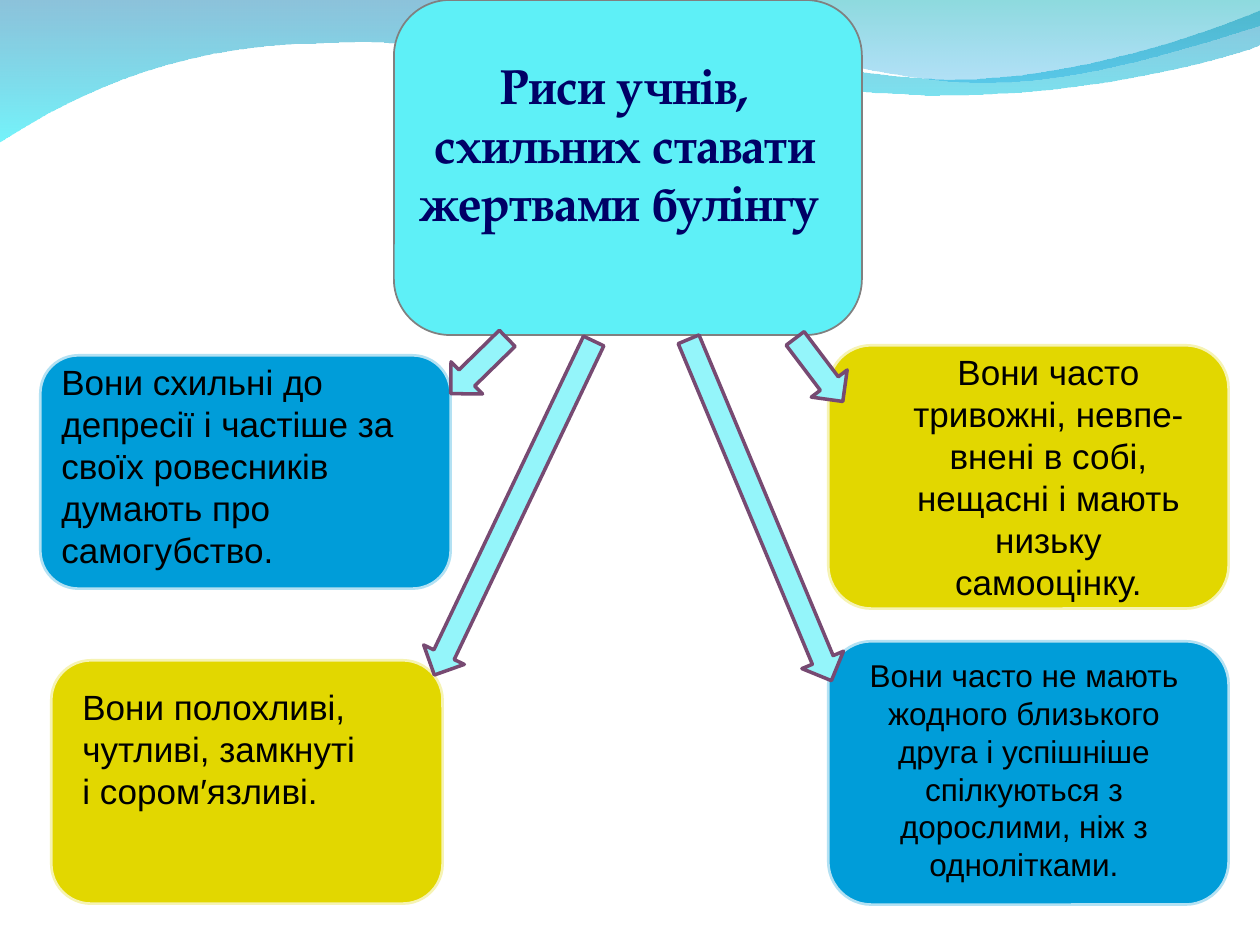
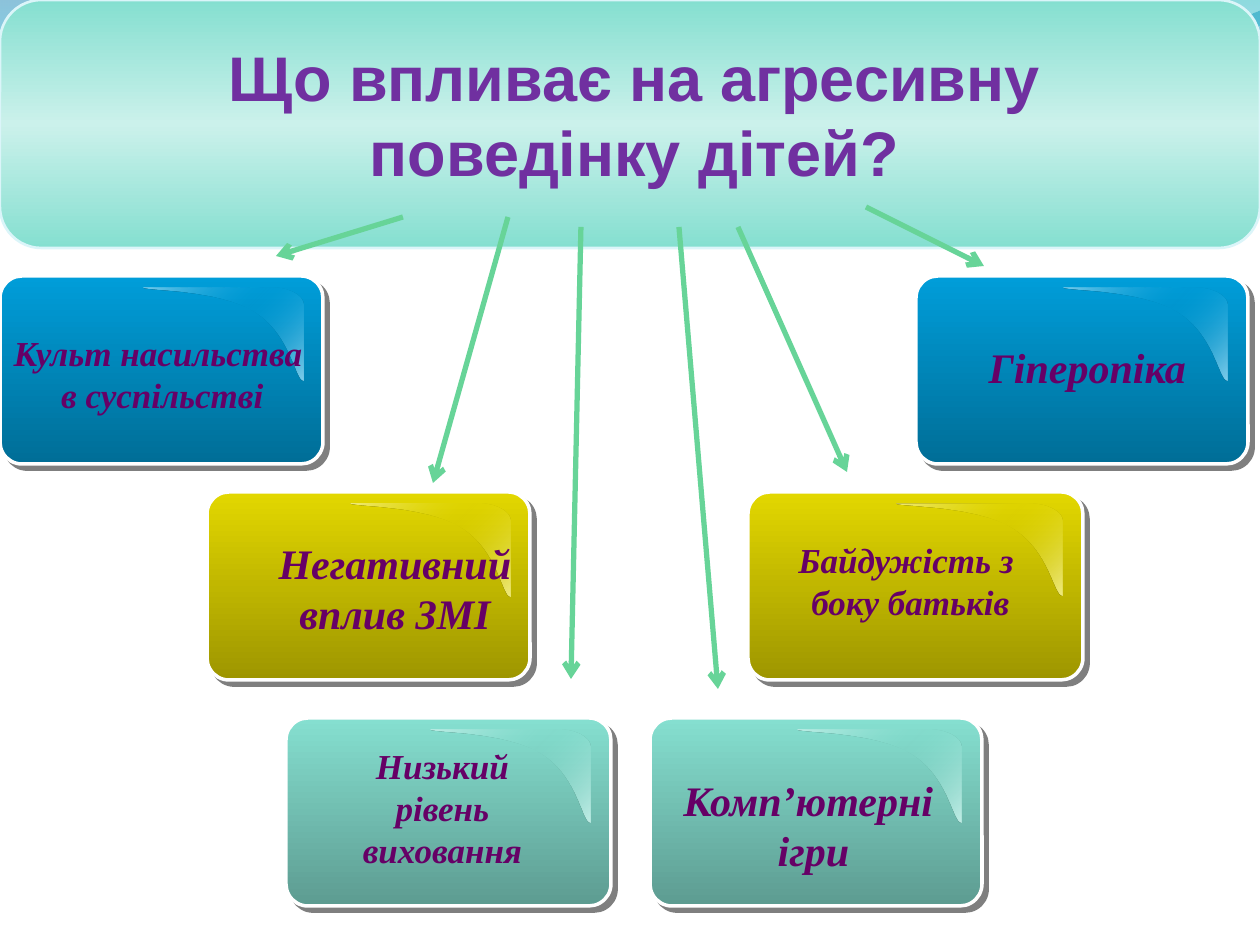
import lxml.etree
import pptx
import pptx.dml.color
import pptx.enum.shapes
import pptx.enum.text
import pptx.oxml.ns
import pptx.util

RGBColor = pptx.dml.color.RGBColor
SHAPES = pptx.enum.shapes.MSO_SHAPE
ALIGN = pptx.enum.text.PP_ALIGN
qn = pptx.oxml.ns.qn

PX = 914400 // 126
CORNER = 0.167
TILE_HEIGHT, TILE_CORNER = 188, 0.117
TITLE_ONLY = 5

WHITE = RGBColor(0xFF, 0xFF, 0xFF)
BLACK = RGBColor(0x00, 0x00, 0x00)
GRAY = RGBColor(0x80, 0x80, 0x80)
NAVY = RGBColor(0x00, 0x00, 0x66)
VIOLET = RGBColor(0x70, 0x30, 0xA0)
PLUM = RGBColor(0x66, 0x00, 0x66)
CYAN = RGBColor(0x5E, 0xF0, 0xF7)
ARROW_FILL = RGBColor(0x94, 0xF5, 0xFA)
ARROW_LINE = RGBColor(0x77, 0x4A, 0x72)
RAY_GREEN = RGBColor(0x67, 0xD4, 0x98)
BLUE = RGBColor(0x00, 0x9D, 0xD9)
BLUE_DARK = RGBColor(0x00, 0x6E, 0x97)
BLUE_LIGHT = RGBColor(0x83, 0xCF, 0xED)
YELLOW = RGBColor(0xE2, 0xD7, 0x00)
YELLOW_DARK = RGBColor(0x9E, 0x96, 0x00)
YELLOW_LIGHT = RGBColor(0xF1, 0xEC, 0x83)
MINT = RGBColor(0x85, 0xDF, 0xD0)
MINT_DARK = RGBColor(0x5D, 0x9C, 0x91)
MINT_LIGHT = RGBColor(0xC4, 0xEF, 0xE8)
MINT_PALE = RGBColor(0xCB, 0xF1, 0xEB)
BANNER_LINE = RGBColor(0xDB, 0xF5, 0xF9)

BLUE_TONES = (BLUE, BLUE_DARK, BLUE_LIGHT)
YELLOW_TONES = (YELLOW, YELLOW_DARK, YELLOW_LIGHT)
MINT_TONES = (MINT, MINT_DARK, MINT_LIGHT)

# An outline is a list of segments: one point is a line, three points are a Bézier curve.
WAVE_FRONT = [
    [(0, -1)], [(554, -1)],
    [(600, 21), (837, 79), (955, 79)],
    [(1074, 79), (1207, 33), (1260, 11)],
    [(1261, 45)],
    [(1238, 55), (1096, 96), (940, 95)],
    [(784, 95), (481, 35), (324, 43)],
    [(163, 44), (58, 105), (-1, 142)],
    [(0, -1)],
]
WAVE_BACK = [
    [(604, -1)],
    [(641, 14), (859, 78), (969, 82)],
    [(1079, 87), (1211, 40), (1260, 26)],
    [(1260, 0)], [(604, -1)],
]
GLOSS_TILE_WIDTH = 324
GLOSS = [
    [(304, 30)],
    [(304, 20), (289, 12), (271, 12)],
    [(144, 12)],
    [(141, 16), (219, 13), (256, 37)],
    [(292, 60), (295, 105), (304, 104)],
    [(304, 30)],
]
WAVE_FRONT_STOPS = [(0, RGBColor(0x00, 0x79, 0xAF), 45), (100, RGBColor(0x00, 0xEB, 0xF8), 55)]
WAVE_BACK_STOPS = [(0, RGBColor(0x00, 0xAD, 0xB6), 45), (100, RGBColor(0x00, 0x9B, 0xE5), 30)]


def emu(*lengths):
    return [round(length * PX) for length in lengths]


def add_alpha(color_element, percent):
    lxml.etree.SubElement(color_element, qn("a:alpha"), val=str(percent * 1000))


def add_color(parent, color, alpha=100):
    element = lxml.etree.SubElement(parent, qn("a:srgbClr"), val=str(color))
    if alpha < 100:
        add_alpha(element, alpha)


def set_gradient(shape, stops, angle=90):
    """Fill with (position, color, alpha) stops; the angle runs clockwise."""
    shape.fill.background()
    properties = shape.element.spPr
    gradient = lxml.etree.Element(qn("a:gradFill"), rotWithShape="1")
    stop_list = lxml.etree.SubElement(gradient, qn("a:gsLst"))
    for position, color, alpha in stops:
        stop = lxml.etree.SubElement(stop_list, qn("a:gs"), pos=str(position * 1000))
        add_color(stop, color, alpha)
    lxml.etree.SubElement(gradient, qn("a:lin"), ang=str(angle * 60000), scaled="0")
    properties.replace(properties.find(qn("a:noFill")), gradient)


def set_line(shape, color, width, alpha=100):
    shape.line.color.rgb = color
    shape.line.width = pptx.util.Pt(width)
    if alpha < 100:
        add_alpha(shape.element.spPr.find(qn("a:ln")).find(".//" + qn("a:srgbClr")), alpha)


def add_block(slide, kind, box, fill=None, corner=None):
    shape = slide.shapes.add_shape(kind, *emu(*box))
    shape.shadow.inherit = False
    if corner is not None:
        shape.adjustments[0] = corner
    if fill is not None:
        shape.fill.solid()
        shape.fill.fore_color.rgb = fill
    return shape


def add_outline(slide, segments, stops, angle=90):
    """Draw a closed outline, joining each three-point segment into one curve."""
    points = [tuple(emu(*point)) for segment in segments for point in segment]
    builder = slide.shapes.build_freeform(*points[0], scale=1.0)
    builder.add_line_segments(points[1:], close=True)
    shape = builder.convert_to_shape()
    lines = iter(shape.element.spPr.findall(".//" + qn("a:lnTo")))
    for segment in segments[1:]:
        first, *others = [next(lines) for _ in segment]
        if others:
            first.tag = qn("a:cubicBezTo")
        for line in others:
            first.append(line[0])
            line.getparent().remove(line)
    shape.shadow.inherit = False
    shape.line.fill.background()
    set_gradient(shape, stops, angle)
    return shape


def write_text(shape, text, size, color, font="Arial", bold=False, italic=False,
               align=ALIGN.CENTER, wrap=True):
    frame = shape.text_frame
    frame.word_wrap = wrap
    frame.auto_size = pptx.enum.text.MSO_AUTO_SIZE.NONE
    frame.vertical_anchor = pptx.enum.text.MSO_ANCHOR.TOP
    frame.text = text
    for paragraph in frame.paragraphs:
        paragraph.alignment = align
        paragraph.font.name = font
        paragraph.font.size = pptx.util.Pt(size)
        paragraph.font.bold = bold
        paragraph.font.italic = italic
        paragraph.font.color.rgb = color


def add_text(slide, box, text, **text_format):
    write_text(slide.shapes.add_textbox(*emu(*box)), text, **text_format)


def place_title(slide, box, text, **text_format):
    """Put the title placeholder in the box, in front of what is drawn so far."""
    title = slide.shapes.title
    title.left, title.top, title.width, title.height = emu(*box)
    write_text(title, text, bold=True, **text_format)
    slide.shapes.element.append(title.element)


def move_waves_to_layout(slide):
    """Draw the waves and hand them to the layout, so that all slides show them."""
    for segments, stops in ((WAVE_FRONT, WAVE_FRONT_STOPS), (WAVE_BACK, WAVE_BACK_STOPS)):
        wave = add_outline(slide, segments, stops)
        slide.slide_layout.shapes.element.append(wave.element)


def add_card(slide, box, fill, text_box, text, size=20, align=ALIGN.CENTER):
    """A rounded card; the text box is placed from the corner of the card."""
    card = add_block(slide, SHAPES.ROUNDED_RECTANGLE, box, fill, CORNER)
    set_line(card, WHITE, 3, alpha=70)
    indent, drop, width, height = text_box
    add_text(slide, (box[0] + indent, box[1] + drop, width, height), text,
             size=size, color=BLACK, align=align)


def add_block_arrow(slide, center_x, center_y, length, rotation):
    width = 45
    box = (center_x - width / 2, center_y - length / 2, width, length)
    arrow = add_block(slide, SHAPES.UP_ARROW, box, ARROW_FILL)
    arrow.rotation = rotation
    set_line(arrow, ARROW_LINE, 2)


def add_tile(slide, left, top, width, tones, label_box, text, size, wrap=False):
    """A glossy tile with a hard shadow and a label placed from its corner."""
    base, dark, light = tones
    box = (left, top, width, TILE_HEIGHT)
    tile = add_block(slide, SHAPES.ROUNDED_RECTANGLE, box, corner=TILE_CORNER)
    set_gradient(tile, [(0, base, 100), (100, dark, 100)])
    set_line(tile, WHITE, 2)
    shadow = lxml.etree.SubElement(
        tile.element.spPr.find(qn("a:effectLst")), qn("a:outerShdw"), blurRad="0",
        dist=str(pptx.util.Pt(4.2)), dir=str(45 * 60000), algn="ctr", rotWithShape="0")
    add_color(shadow, BLACK, 50)

    stretch = width / GLOSS_TILE_WIDTH
    gloss = [[(left + x * stretch, top + y) for x, y in segment] for segment in GLOSS]
    add_outline(slide, gloss, [(0, light, 100), (50, base, 0), (100, light, 100)], angle=45)
    indent, drop, label_width, label_height = label_box
    add_text(slide, (left + indent, top + drop, label_width, label_height), text,
             size=size, color=PLUM, font="Times New Roman", bold=True, italic=True, wrap=wrap)


def add_ray(slide, start, end):
    ray = slide.shapes.add_connector(pptx.enum.shapes.MSO_CONNECTOR.STRAIGHT, *emu(*start, *end))
    set_line(ray, RAY_GREEN, 3)
    properties = ray.element.spPr
    lxml.etree.SubElement(properties.find(qn("a:ln")), qn("a:tailEnd"), type="arrow")
    lxml.etree.SubElement(properties, qn("a:effectLst"))


def build_victim_traits(slide):
    panel = add_block(slide, SHAPES.ROUNDED_RECTANGLE, (394, 0, 468, 335), CYAN, CORNER)
    set_line(panel, GRAY, 1)
    place_title(slide, (394, 49, 462, 307), "Риси учнів, схильних ставати жертвами булінгу ",
                size=28, color=NAVY, font="TeX Gyre Pagella")
    add_card(slide, (50, 659, 394, 246), YELLOW, (20, 20, 305, 139),
             "Вони полохливі, чутливі, замкнуті і сором′язливі.", align=ALIGN.LEFT)
    add_card(slide, (39, 354, 413, 236), BLUE, (10, 0, 403, 223),
             "Вони схильні до депресії і частіше за своїх ровесників думають про самогубство.",
             align=ALIGN.LEFT)
    add_card(slide, (827, 344, 403, 266), YELLOW, (59, 0, 325, 265),
             "Вони часто тривожні, невпе-внені в собі, нещасні і мають низьку самооцінку.")
    add_card(slide, (827, 640, 403, 266), BLUE, (10, 10, 374, 239),
             "Вони часто не мають жодного близького друга і успішніше спілкуються з "
             "дорослими, ніж з однолітками.", size=18)
    for arrow in ((760, 510, 370, 157.3), (819, 370, 79, 142.9),
                  (514, 508, 370, 205.5), (479, 366, 79, 225.6)):
        add_block_arrow(slide, *arrow)


def build_aggression_causes(slide):
    banner = add_block(slide, SHAPES.ROUNDED_RECTANGLE, (0, 0, 1260, 248), corner=CORNER)
    set_gradient(banner, [(0, MINT, 100), (50, MINT_PALE, 100), (100, MINT, 100)])
    set_line(banner, BANNER_LINE, 1.5)
    place_title(slide, (101, 32, 1067, 164), "Що впливає на агресивну поведінку дітей?",
                size=36, color=VIOLET)
    top_row, middle_row, bottom_row = 276, 492, 718
    add_tile(slide, 0, top_row, 323, BLUE_TONES, (0, 49, 316, 97),
             "Культ насильства\n в суспільстві", 20)
    add_tile(slide, 916, top_row, 332, BLUE_TONES, (49, 59, 234, 63), " Гіперопіка", 24)
    add_tile(slide, 207, middle_row, 323, YELLOW_TONES, (50, 39, 276, 113),
             " Негативний \nвплив ЗМІ", 24)
    add_tile(slide, 748, middle_row, 335, YELLOW_TONES, (0, 40, 325, 97),
             "Байдужість з \nбоку батьків", 20, wrap=True)
    add_tile(slide, 286, bottom_row, 325, MINT_TONES, (49, 20, 215, 139),
             "Низький рівень виховання", 20, wrap=True)
    add_tile(slide, 650, bottom_row, 332, MINT_TONES, (19, 50, 289, 113),
             "Комп’ютерні \nігри", 24)
    for start, end in (((581, 227), (571, 679)), ((866, 207), (984, 266)),
                       ((403, 217), (276, 256)), ((738, 227), (847, 472)),
                       ((679, 227), (718, 689)), ((508, 217), (433, 483))):
        add_ray(slide, start, end)


def main():
    presentation = pptx.Presentation()
    presentation.slide_width, presentation.slide_height = emu(1260, 945)
    layout = presentation.slide_layouts[TITLE_ONLY]
    traits = presentation.slides.add_slide(layout)
    move_waves_to_layout(traits)
    build_victim_traits(traits)
    build_aggression_causes(presentation.slides.add_slide(layout))
    presentation.save("out.pptx")


if __name__ == "__main__":
    main()
